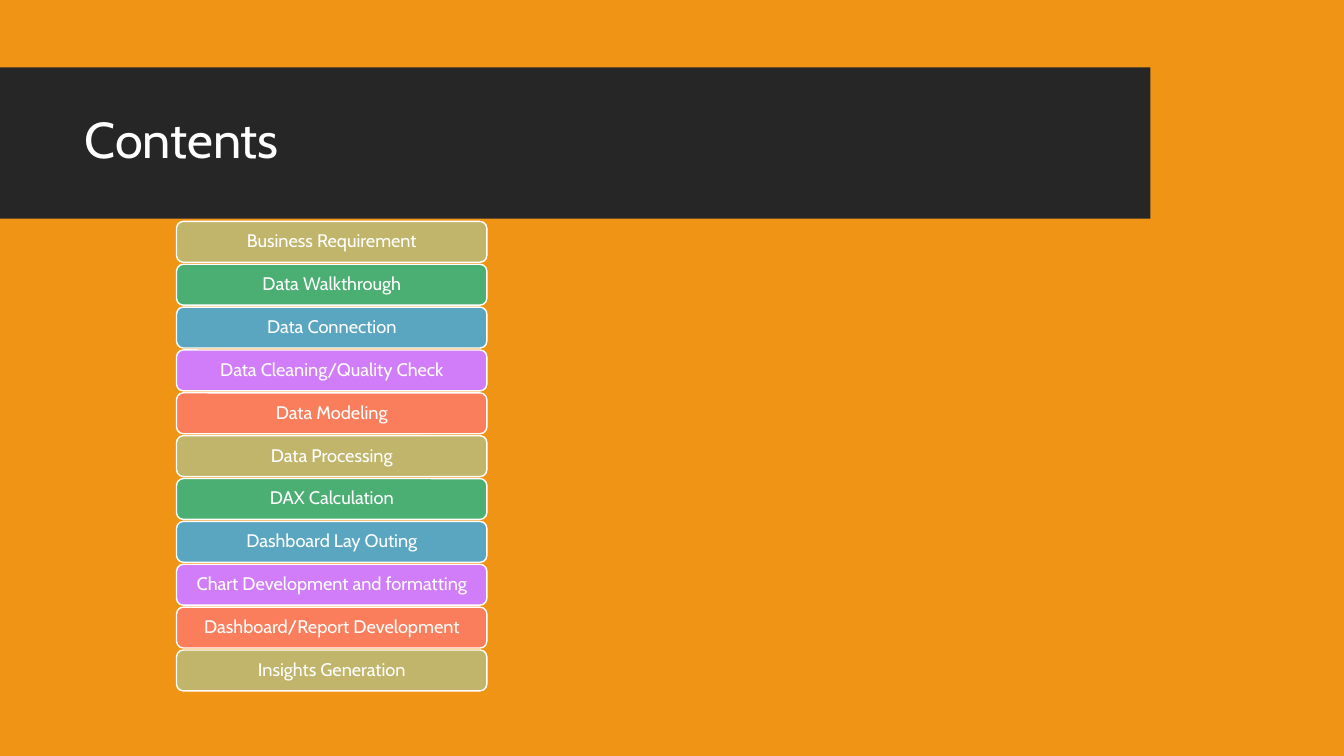
from dataclasses import dataclass
from itertools import cycle
from typing import Any

from pptx import Presentation
from pptx.dml.color import RGBColor
from pptx.enum.shapes import MSO_SHAPE as Preset
from pptx.enum.text import MSO_ANCHOR as Anchor, PP_ALIGN as Align
from pptx.util import Cm, Pt

ORANGE = RGBColor(0xF0, 0x94, 0x15)
CHARCOAL = RGBColor(0x26, 0x26, 0x26)
WHITE = RGBColor(0xFF, 0xFF, 0xFF)
SAND = RGBColor(0xC1, 0xB5, 0x6B)
GREEN = RGBColor(0x4B, 0xAF, 0x73)
BLUE = RGBColor(0x5A, 0xA6, 0xC0)
VIOLET = RGBColor(0xD1, 0x7D, 0xF9)
CORAL = RGBColor(0xFA, 0x7E, 0x5C)

FONT = "Cabin"
BAR_LEFT, BAR_TOP = 4.45, 5.58
BAR_WIDTH, BAR_HEIGHT, BAR_PITCH = 7.82, 1.03, 1.08

TOPICS = (
    "Business Requirement",
    "Data Walkthrough",
    "Data Connection",
    "Data Cleaning/Quality Check",
    "Data Modeling",
    "Data Processing",
    "DAX Calculation",
    "Dashboard Lay Outing",
    "Chart Development and formatting",
    "Dashboard/Report Development",
    "Insights Generation",
)

TITLE_PLACE = {
    "left": Cm(1.88), "top": Cm(2.08), "width": Cm(26.7), "height": Cm(3),
}
TITLE_FRAME = {"vertical_anchor": Anchor.MIDDLE, "word_wrap": True}
BAR_FRAME = {
    **TITLE_FRAME,
    "margin_left": Cm(0.13), "margin_right": Cm(0.13),
    "margin_top": Cm(0.08), "margin_bottom": Cm(0.08),
}


@dataclass(frozen=True)
class TopicBar:
    text: str
    color: RGBColor
    top: float


def apply_format(target: Any, values: dict[str, Any]) -> None:
    for name, value in values.items():
        setattr(target, name, value)


def write_text(shape: Any, text: str, size: float, alignment: Align,
               frame_format: dict[str, Any]) -> None:
    frame = shape.text_frame
    frame.text = text
    apply_format(frame, frame_format)
    paragraph = frame.paragraphs[0]
    apply_format(paragraph, {"alignment": alignment, "line_spacing": 0.9})
    font = paragraph.runs[0].font
    apply_format(font, {"name": FONT, "size": Pt(size)})
    font.color.rgb = WHITE


def add_filled(slide: Any, preset: Preset, left: float, top: float,
               width: float, height: float, color: RGBColor) -> Any:
    shape = slide.shapes.add_shape(
        preset, Cm(left), Cm(top), Cm(width), Cm(height))
    shape.shadow.inherit = False
    shape.fill.solid()
    shape.fill.fore_color.rgb = color
    return shape


def add_heading(slide: Any) -> None:
    band = add_filled(slide, Preset.RECTANGLE, 0, 1.7, 28.99, 3.81, CHARCOAL)
    band.line.fill.background()
    title = slide.shapes.title
    title.element.addprevious(band.element)
    apply_format(title, TITLE_PLACE)
    write_text(title, "Contents", 36, Align.LEFT, TITLE_FRAME)


def add_topic_bar(slide: Any, bar: TopicBar) -> None:
    shape = add_filled(slide, Preset.ROUNDED_RECTANGLE, BAR_LEFT, bar.top,
                       BAR_WIDTH, BAR_HEIGHT, bar.color)
    shape.line.color.rgb = WHITE
    shape.line.width = Pt(1)
    write_text(shape, bar.text, 13, Align.CENTER, BAR_FRAME)


def main() -> None:
    presentation = Presentation()
    apply_format(presentation,
                 {"slide_width": Cm(33.87), "slide_height": Cm(19.05)})
    slide = presentation.slides.add_slide(presentation.slide_layouts[5])
    slide.background.fill.solid()
    slide.background.fill.fore_color.rgb = ORANGE
    add_heading(slide)
    palette = cycle((SAND, GREEN, BLUE, VIOLET, CORAL))
    for index, (text, color) in enumerate(zip(TOPICS, palette)):
        add_topic_bar(slide, TopicBar(text, color, BAR_TOP + index * BAR_PITCH))
    presentation.save("out.pptx")


if __name__ == "__main__":
    main()
